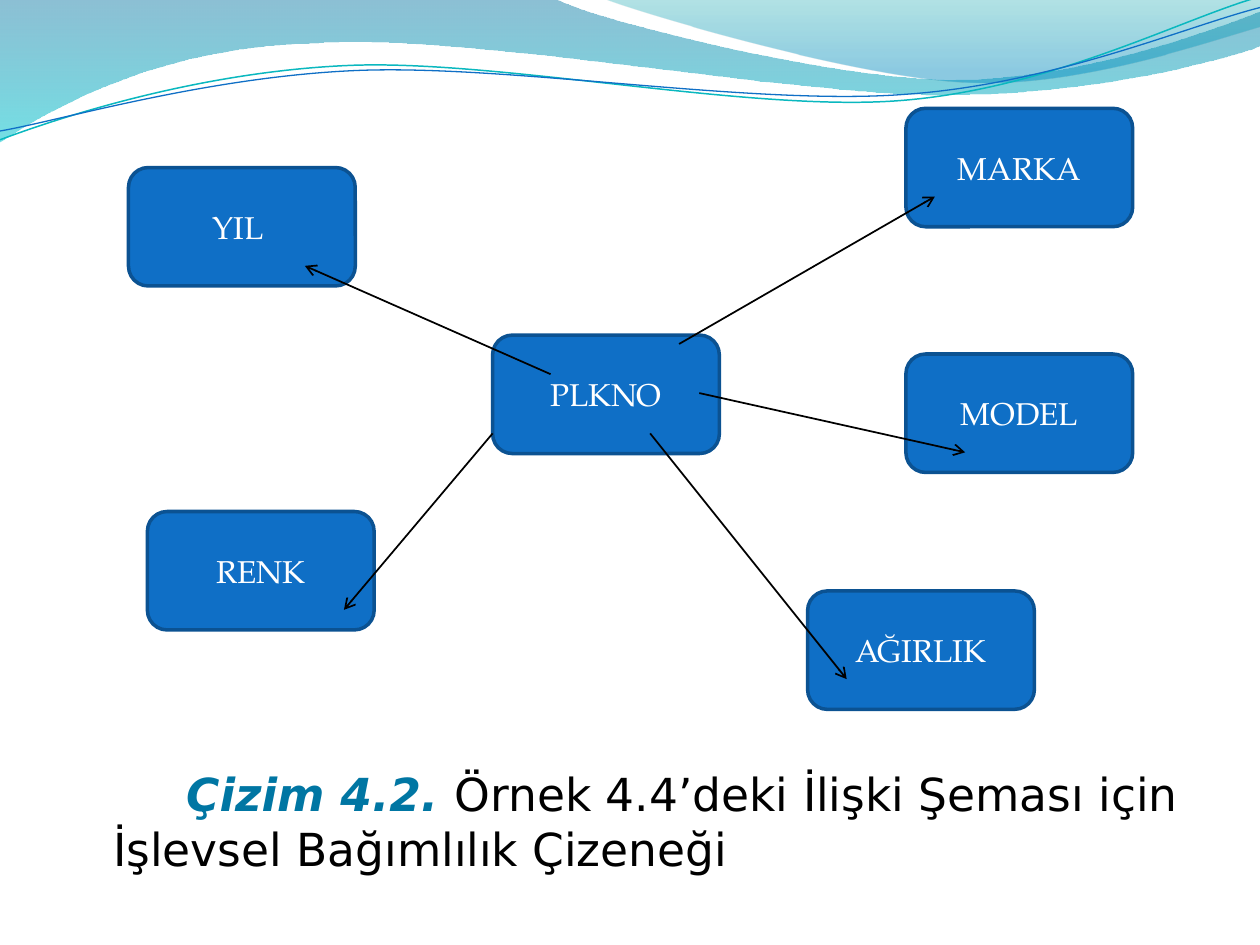
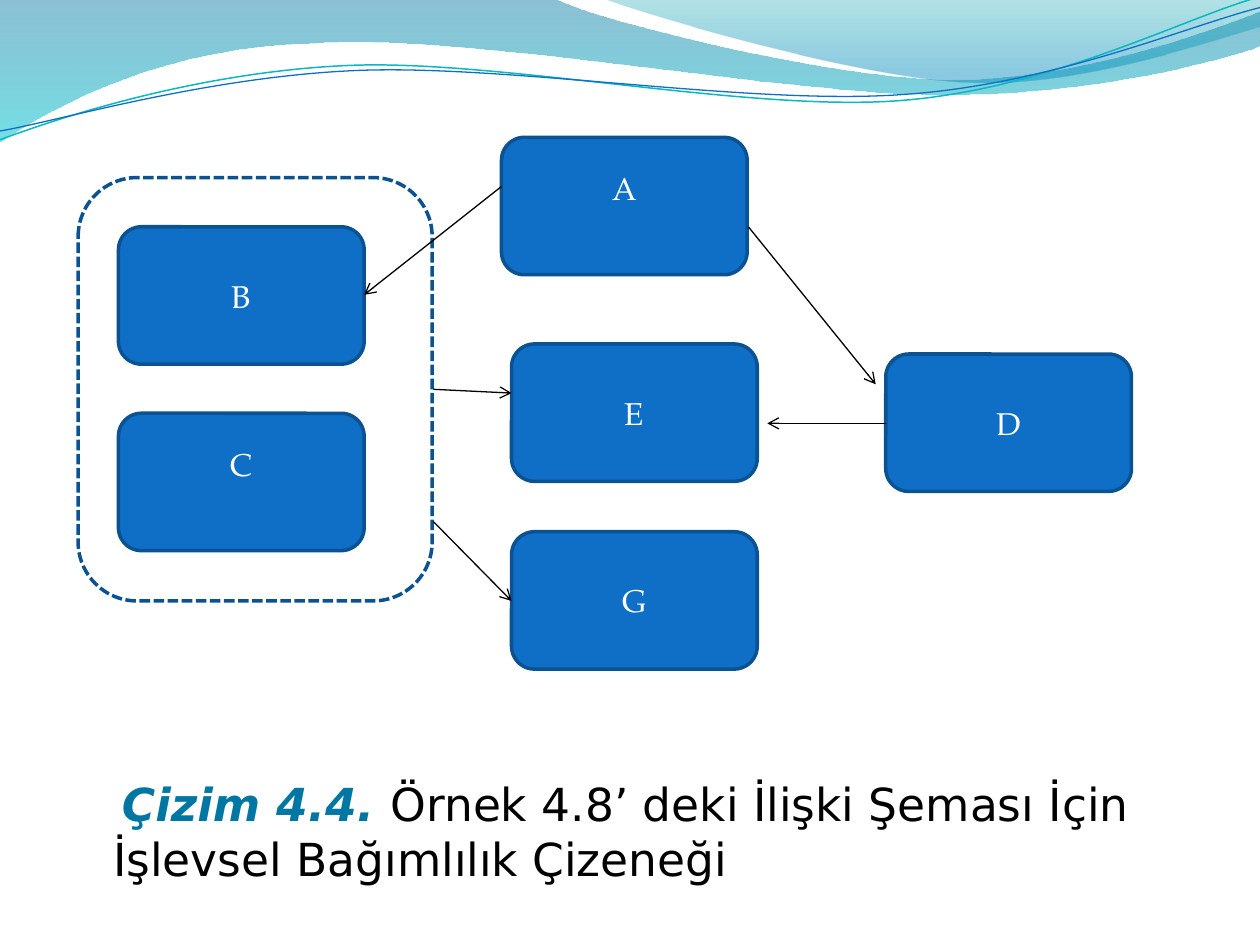
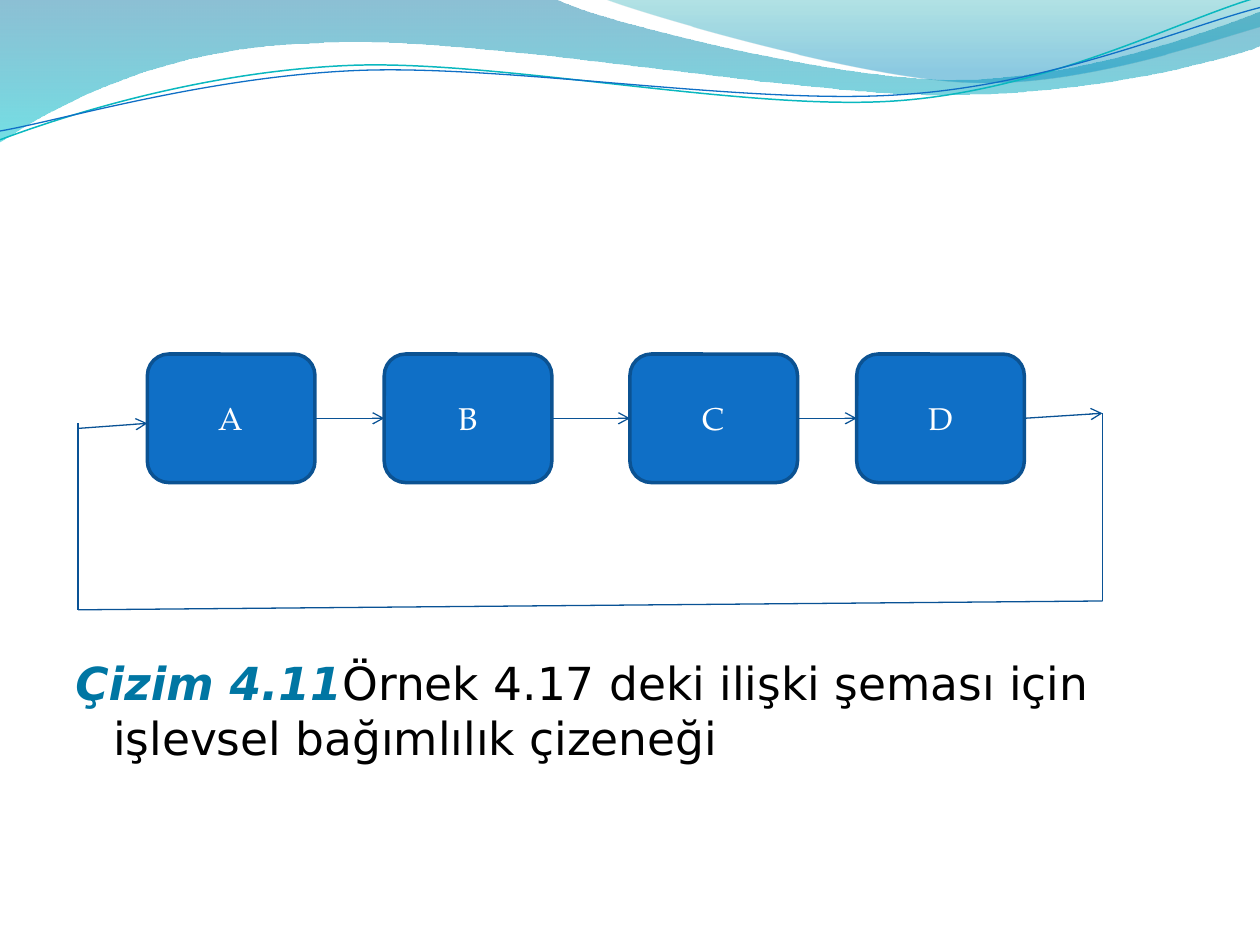
from lxml.etree import SubElement
from pptx import Presentation
from pptx.dml.color import RGBColor
from pptx.enum.dml import MSO_LINE
from pptx.enum.shapes import MSO_CONNECTOR, MSO_SHAPE
from pptx.enum.text import MSO_ANCHOR, PP_ALIGN
from pptx.oxml.ns import qn
from pptx.util import Inches, Pt

# Shared look
BLUE = RGBColor(0x0F, 0x6F, 0xC6)
BLUE_EDGE = RGBColor(0x0B, 0x52, 0x92)
BLUE_LINE = RGBColor(0x09, 0x52, 0x95)
AQUA = RGBColor(0x0A, 0xB8, 0xBF)
TEAL = RGBColor(0x00, 0x76, 0xA3)
BLACK = RGBColor(0, 0, 0)
WHITE = RGBColor(0xFF, 0xFF, 0xFF)
NODE_FONT = "TeX Gyre Pagella"
CAPTION_FONT = "DejaVu Sans"

# Header waves: a point is a line end, a triple of points is a Bezier curve
# Gradient stops: position, colour, opacity in percent
BANDS = [
    ([(0, 0), (4.4, -0.01),
      ((4.76, 0.17), (6.64, 0.63), (7.58, 0.63)),
      ((8.53, 0.63), (9.58, 0.26), (10, 0.09)),
      (10.01, 0.36),
      ((9.83, 0.44), (8.7, 0.76), (7.46, 0.75)),
      ((6.22, 0.75), (3.82, 0.28), (2.57, 0.34)),
      ((1.29, 0.36), (0.46, 0.83), (-0.01, 1.13))],
     [(0, RGBColor(0x00, 0x74, 0xA1), 45), (1, RGBColor(0x00, 0xC6, 0xCF), 55)]),
    ([(4.79, -0.01),
      ((5.09, 0.11), (6.82, 0.62), (7.69, 0.65)),
      ((8.56, 0.69), (9.61, 0.32), (10, 0.21)),
      (10, 0)],
     [(0, RGBColor(0x00, 0xA1, 0xA9), 30), (0.8, RGBColor(0x00, 0x8B, 0xBF), 45)]),
]
WAVE_LINES = [
    ([(0, 1.11),
      ((0.48, 0.93), (1.58, 0.57), (2.77, 0.52)),
      ((3.95, 0.47), (5.93, 0.89), (7.13, 0.8)),
      ((8.33, 0.71), (9.38, 0.15), (9.98, -0.02))], AQUA, 0.85),
    ([(0, 1.04),
      ((0.47, 0.96), (1.64, 0.61), (2.83, 0.56)),
      ((4.03, 0.51), (5.97, 0.84), (7.17, 0.75)),
      ((8.36, 0.67), (9.41, 0.21), (10, 0.06))], BLUE, 0.75),
]


def add_outline(slide, outline, close):
    """Freeform whose point triples become Bezier curves."""
    points = []
    for part in outline:
        points.extend(part if len(part) == 3 else [part])
    emu = [(Inches(x), Inches(y)) for x, y in points]
    builder = slide.shapes.build_freeform(*emu[0])
    builder.add_line_segments(emu[1:], close=close)
    sp = builder.convert_to_shape()
    sp.shadow.inherit = False
    segments = iter(list(sp.element.iter(qn("a:lnTo"))))
    for part in outline[1:]:
        segment = next(segments)
        if len(part) == 3:
            segment.tag = qn("a:cubicBezTo")
            for extra in (next(segments), next(segments)):
                segment.append(extra[0])
                extra.getparent().remove(extra)
    return sp


def add_header(slide):
    """Draw the waves and hand them to the layout, which all slides share."""
    waves = []
    for outline, stops in BANDS:
        sp = add_outline(slide, outline, True)
        sp.line.fill.background()
        sp.fill.gradient()
        sp.fill.gradient_angle = 270
        for stop, (position, color, _) in zip(sp.fill.gradient_stops, stops):
            stop.position = position
            stop.color.rgb = color
        for clr, stop in zip(sp.element.iter(qn("a:srgbClr")), stops):
            SubElement(clr, qn("a:alpha"), val=str(stop[2] * 1000))
        waves.append(sp)
    for outline, color, width in WAVE_LINES:
        sp = add_outline(slide, outline, False)
        sp.fill.background()
        sp.line.color.rgb = color
        sp.line.width = Pt(width)
        waves.append(sp)
    tree = next(slide.slide_layout.element.iter(qn("p:spTree")))
    for sp in waves:
        tree.append(sp.element)


def add_caption(slide, top, height, inset, indent, label, text):
    box = slide.shapes.add_textbox(Inches(0.5), Inches(top), Inches(9), Inches(height))
    tf = box.text_frame
    tf.word_wrap = True
    tf.margin_top = Inches(inset)
    p = tf.paragraphs[0]
    pPr = p._p.get_or_add_pPr()
    pPr.set("marL", str(Inches(0.3)))
    pPr.set("indent", str(Inches(indent)))
    for words, color, strong in ((label, TEAL, True), (text, BLACK, False)):
        r = p.add_run()
        r.text = words
        r.font.name = CAPTION_FONT
        r.font.size = Pt(26)
        r.font.bold = r.font.italic = strong
        r.font.color.rgb = color


def add_round_box(slide, left, top, width, height):
    sp = slide.shapes.add_shape(MSO_SHAPE.ROUNDED_RECTANGLE, Inches(left),
                                Inches(top), Inches(width), Inches(height))
    sp.shadow.inherit = False
    sp.line.color.rgb = BLUE_EDGE
    sp.line.width = Pt(2)
    return sp


def add_node(slide, name, left, top, size, raised=False):
    sp = add_round_box(slide, left, top, *size)
    sp.fill.solid()
    sp.fill.fore_color.rgb = BLUE
    tf = sp.text_frame
    tf.text = name
    tf.vertical_anchor = MSO_ANCHOR.MIDDLE
    if raised:
        tf.margin_bottom = Inches(0.33)
    p = tf.paragraphs[0]
    p.alignment = PP_ALIGN.CENTER
    r = p.runs[0]
    r.font.name = NODE_FONT
    r.font.size = Pt(18)
    r.font.color.rgb = WHITE


def add_frame(slide, left, top, width, height):
    sp = add_round_box(slide, left, top, width, height)
    sp.fill.background()
    sp.line.dash_style = MSO_LINE.SQUARE_DOT


def add_link(slide, start, end, color=BLACK, width=0.75, arrow=True):
    link = slide.shapes.add_connector(
        MSO_CONNECTOR.STRAIGHT, *(Inches(v) for v in (*start, *end)))
    link.line.color.rgb = color
    link.line.width = Pt(width)
    spPr = link.element.spPr
    if arrow:
        SubElement(spPr.find(qn("a:ln")), qn("a:tailEnd"), type="arrow")
    SubElement(spPr, qn("a:effectLst"))


def build_vehicle_slide(s):
    add_caption(s, 0.97, 6.14, 5.11, 0.58, "Çizim 4.2. ",
                "Örnek 4.4’deki İlişki Şeması için İşlevsel Bağımlılık Çizeneği")
    for name, left, top in (("PLKNO", 3.91, 2.66), ("RENK", 1.17, 4.06),
                            ("YIL ", 1.02, 1.33), ("AĞIRLIK", 6.41, 4.69),
                            ("MODEL", 7.19, 2.81), ("MARKA", 7.19, 0.86)):
        add_node(s, name, left, top, (1.8, 0.94))
    for start, end in (((5.39, 2.73), (7.42, 1.56)), ((5.55, 3.12), (7.66, 3.59)),
                       ((5.16, 3.44), (6.72, 5.39)), ((4.37, 2.97), (2.42, 2.11)),
                       ((3.91, 3.44), (2.73, 4.84))):
        add_link(s, start, end, width=1)


def build_group_slide(s):
    add_caption(s, 1.05, 6.14, 5.11, 0.07, "Çizim 4.4. ",
                "Örnek 4.8’ deki İlişki Şeması İçin İşlevsel Bağımlılık Çizeneği")
    for name, left, top in (("B", 0.94, 1.8), ("C", 0.94, 3.28), ("A", 3.98, 1.09),
                            ("E", 4.06, 2.73), ("G", 4.06, 4.22), ("D", 7.03, 2.81)):
        add_node(s, name, left, top, (1.95, 1.09), raised=name in "AC")
    add_frame(s, 0.62, 1.41, 2.81, 3.36)
    for start, end in (((3.98, 1.48), (2.89, 2.34)), ((3.44, 3.09), (4.06, 3.12)),
                       ((3.44, 4.14), (4.06, 4.77)), ((5.94, 1.8), (6.95, 3.05)),
                       ((7.03, 3.36), (6.09, 3.36))):
        add_link(s, start, end)


def build_cycle_slide(s):
    add_caption(s, 2.12, 4.8, 3.08, -0.3, "Çizim 4.11",
                "Örnek 4.17 deki ilişki şeması için işlevsel bağımlılık çizeneği")
    lefts = (1.17, 3.05, 5, 6.8)
    width, middle = 1.33, 3.32
    for name, left in zip("ABCD", lefts):
        add_node(s, name, left, 2.81, (width, 1.02))
    for left, following in zip(lefts, lefts[1:]):
        add_link(s, (left + width, middle), (following, middle), BLUE_LINE)
    # Way back from D to A
    add_link(s, (lefts[-1] + width, middle), (8.75, 3.28), BLUE_LINE)
    loop = ((8.75, 3.28), (8.75, 4.77), (0.62, 4.84), (0.62, 3.36))
    for start, end in zip(loop, loop[1:]):
        add_link(s, start, end, BLUE_LINE, arrow=False)
    add_link(s, (0.62, 3.4), (lefts[0], 3.36), BLUE_LINE)


def main():
    prs = Presentation()
    prs.slide_width = Inches(10)
    prs.slide_height = Inches(7.5)
    blank = prs.slide_layouts[6]
    builders = (build_vehicle_slide, build_group_slide, build_cycle_slide)
    slides = [prs.slides.add_slide(blank) for _ in builders]
    add_header(slides[0])
    for build, s in zip(builders, slides):
        build(s)
    prs.save("out.pptx")


if __name__ == "__main__":
    main()
